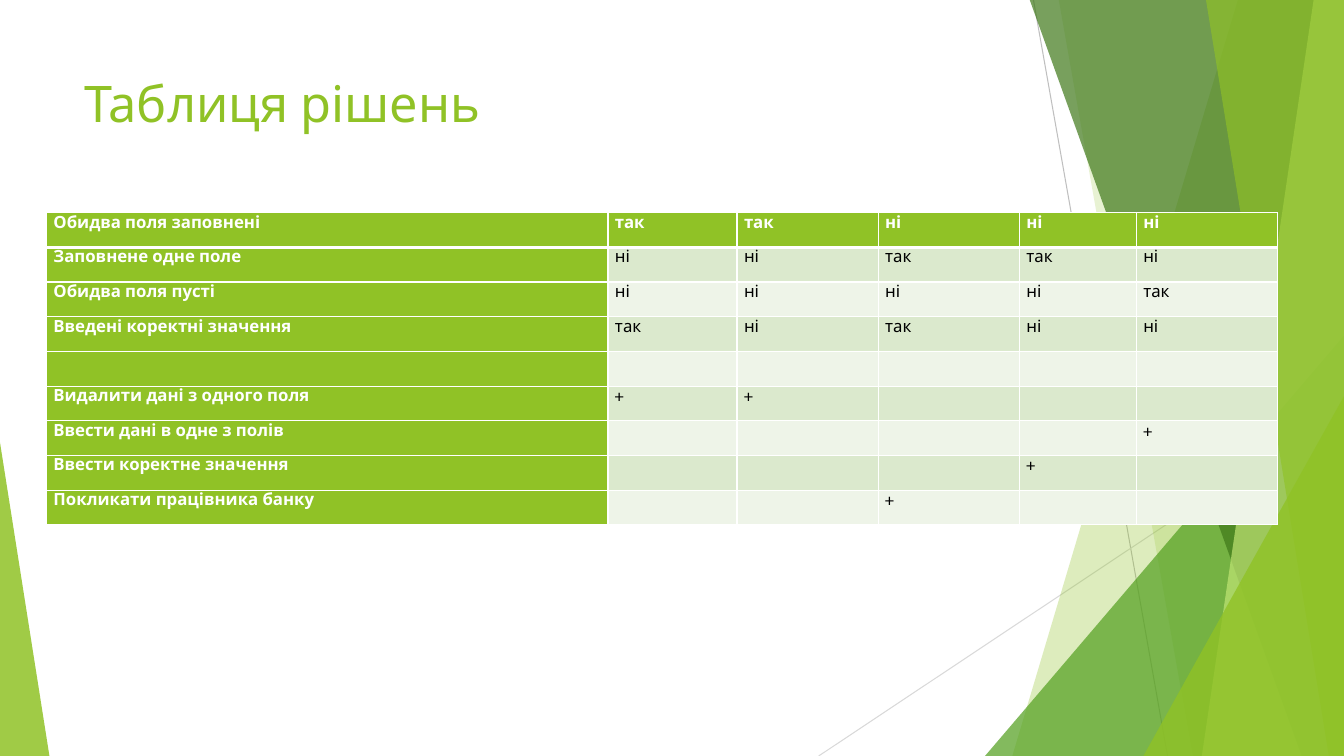
from lxml.etree import SubElement
from pptx import Presentation
from pptx.dml.color import RGBColor
from pptx.enum.shapes import MSO_CONNECTOR, MSO_SHAPE
from pptx.enum.text import MSO_ANCHOR, PP_ALIGN
from pptx.oxml.ns import qn
from pptx.util import Inches, Pt

WIDTH, HEIGHT = 13.33, 7.5
GREEN, WHITE, BLACK = "90C226", "FFFFFF", "000000"
BANDS = ("EEF4E8", "DBE9CD")


def color(hex_code):
    return RGBColor.from_string(hex_code)


class DecisionSlide:
    font_name = "Karla"

    def __init__(self, slide):
        self.slide = slide
        self.shapes = slide.shapes

    def style_text(self, paragraph, size, hex_code, bold=False):
        paragraph.font.name = self.font_name
        paragraph.font.size = Pt(size)
        paragraph.font.bold = bold
        paragraph.font.color.rgb = color(hex_code)
        paragraph.alignment = PP_ALIGN.LEFT

    def title(self, text, left, top, width, height):
        heading = self.shapes.title
        heading.left, heading.top = Inches(left), Inches(top)
        heading.width, heading.height = Inches(width), Inches(height)
        heading.text_frame.text = text
        heading.text_frame.vertical_anchor = MSO_ANCHOR.TOP
        self.style_text(heading.text_frame.paragraphs[0], 36, GREEN)

    def line(self, start, end, hex_code):
        ray = self.shapes.add_connector(
            MSO_CONNECTOR.STRAIGHT, *(Inches(n) for n in (*start, *end)))
        ray.line.color.rgb = color(hex_code)
        ray.line.width = Pt(0.75)
        SubElement(ray.element.spPr, qn("a:effectLst"))

    def paint(self, shape, hex_code, opacity):
        shape.shadow.inherit = False
        shape.line.fill.background()
        shape.fill.solid()
        shape.fill.fore_color.rgb = color(hex_code)
        fill_color = shape.element.xpath("./p:spPr/a:solidFill/a:srgbClr")[0]
        SubElement(fill_color, qn("a:alpha"), val=str(opacity * 1000))

    def facet(self, top_x, bottom_x, hex_code, opacity):
        """Fill from a slanted left edge to the right side of the slide."""
        corners = [(WIDTH, -0.01), (WIDTH, HEIGHT), (bottom_x, HEIGHT)]
        outline = self.shapes.build_freeform(Inches(top_x), Inches(-0.01))
        outline.add_line_segments([(Inches(x), Inches(y)) for x, y in corners])
        self.paint(outline.convert_to_shape(), hex_code, opacity)

    def triangle(self, left, top, width, apex, hex_code, opacity):
        wedge = self.shapes.add_shape(
            MSO_SHAPE.ISOSCELES_TRIANGLE, Inches(left), Inches(top),
            Inches(width), Inches(HEIGHT - top))
        wedge.adjustments[0] = apex
        self.paint(wedge, hex_code, opacity)

    def borders(self, cell, **widths):
        properties = cell._tc.get_or_add_tcPr()
        for side in "LRTB":
            edge = SubElement(properties, qn(f"a:ln{side}"),
                              w=str(Pt(widths.get(side, 1))))
            fill = SubElement(edge, qn("a:solidFill"))
            SubElement(fill, qn("a:srgbClr"), val=WHITE)

    def table(self, rows, left, top, column_widths, height):
        grid = self.shapes.add_table(
            len(rows), len(column_widths), Inches(left), Inches(top),
            Inches(sum(column_widths)), Inches(height)).table
        for column, width in zip(grid.columns, column_widths):
            column.width = Inches(width)
        grid.first_col = True
        for r, row in enumerate(rows):
            for c, text in enumerate(row):
                cell = grid.cell(r, c)
                heading = r == 0 or c == 0
                # Heavier rule under the header row
                self.borders(cell, B=3 if r == 0 else 1, T=3 if r == 1 else 1)
                cell.fill.solid()
                cell.fill.fore_color.rgb = color(GREEN if heading else BANDS[r % 2])
                cell.margin_left = cell.margin_right = Inches(0.07)
                cell.margin_top = cell.margin_bottom = 0
                cell.text = text
                self.style_text(cell.text_frame.paragraphs[0], 12,
                                WHITE if heading else BLACK, heading)


presentation = Presentation()
presentation.slide_width = Inches(WIDTH)
presentation.slide_height = Inches(HEIGHT)
decision = DecisionSlide(
    presentation.slides.add_slide(presentation.slide_layouts[5]))

# Faceted background
decision.line((10.25, 0), (11.58, HEIGHT), "BFBFBF")
decision.line((WIDTH, 4.03), (8.12, HEIGHT), "D9D9D9")
decision.facet(12.28, 10.04, GREEN, 30)
decision.facet(10.5, 11.83, GREEN, 20)
decision.triangle(9.77, 3.33, 3.56, 1, "54A021", 72)
decision.facet(10.21, 12.91, "3F7819", 70)
decision.facet(13.03, 11.92, "C0E474", 70)
decision.facet(11.96, 13.18, GREEN, 65)
decision.triangle(11.34, 3.93, 1.99, 1, GREEN, 80)
decision.triangle(0, 4.39, 0.49, 0, GREEN, 85)

# Title
decision.title("Таблиця рішень", 0.74, 0.67, 9.4, 1.44)

# Conditions, then the actions they lead to
YES, NO, DO = "так", "ні", "+"
decision_rows = [
    ("Обидва поля заповнені", YES, YES, NO, NO, NO),
    ("Заповнене одне поле", NO, NO, YES, YES, NO),
    ("Обидва поля пусті", NO, NO, NO, NO, YES),
    ("Введені коректні значення", YES, NO, YES, NO, NO),
    ("",) * 6,
    ("Видалити дані з одного поля", DO, DO, "", "", ""),
    ("Ввести дані в одне з полів", "", "", "", "", DO),
    ("Ввести коректне значення", "", "", "", DO, ""),
    ("Покликати працівника банку", "", "", DO, "", ""),
]
decision.table(decision_rows, 0.46, 2.11, (5.57, 1.28, 1.4, 1.4, 1.16, 1.4), 3.1)

presentation.save("out.pptx")
